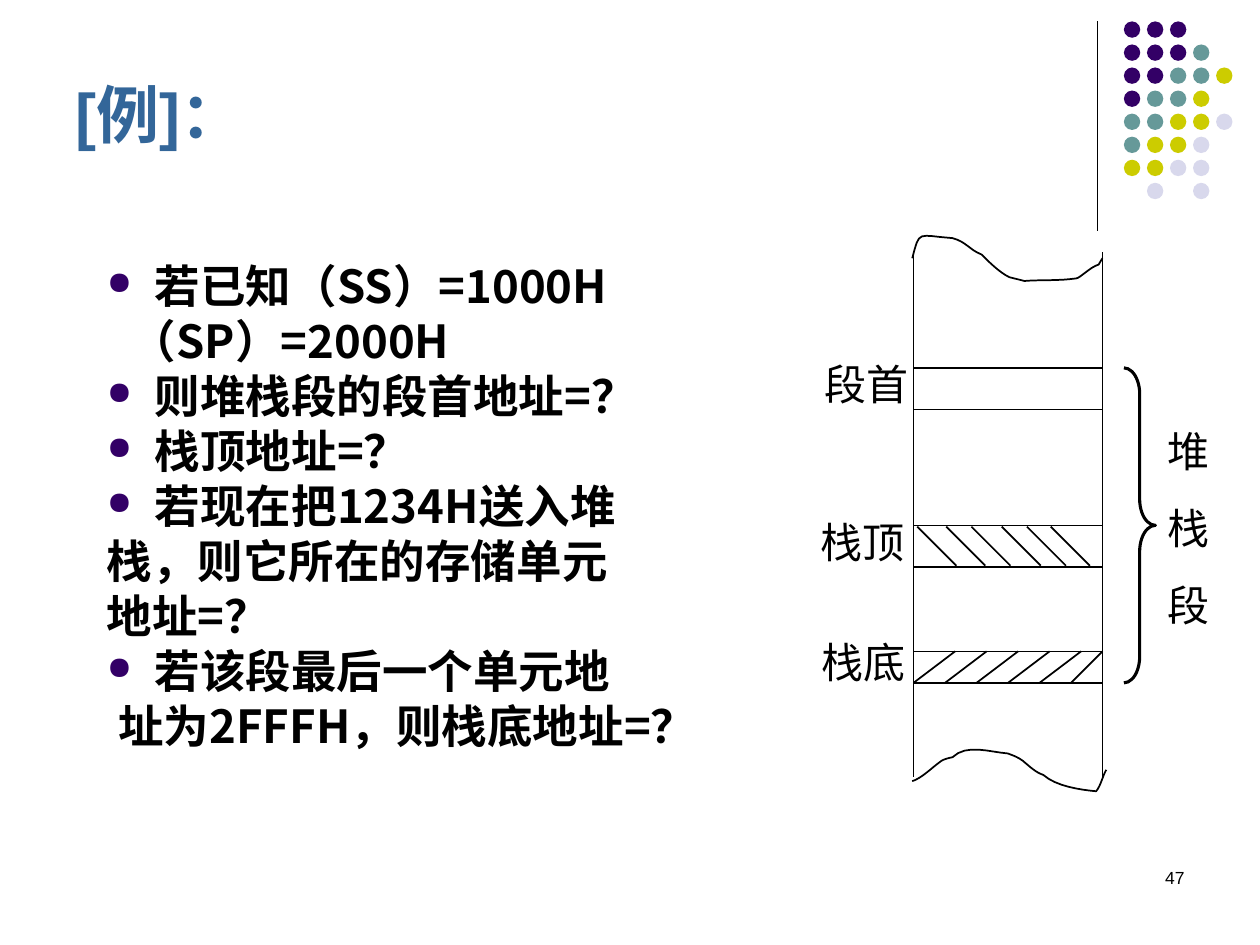
from lxml import etree
from pptx import Presentation
from pptx.dml.color import RGBColor
from pptx.enum import shapes, text
from pptx.oxml import ns
from pptx.util import Inches, Pt

THEME = {
    "ink": "000000", "title": "336699", "bullet": "330066",
    "dots": {"P": "330066", "T": "669999", "Y": "CCCC00", "L": "D8D8EC"},
    "title_size": 36, "body_size": 26, "label_size": 24, "number_size": 10,
    "sans": "Arial", "serif": "Times New Roman", "cjk": "Noto Sans CJK SC",
}

TITLE = "[例]："
BODY = [
    ("若已知（SS）=1000H", None),
    ("（SP）=2000H", 0.19),
    ("则堆栈段的段首地址=？", None),
    ("栈顶地址=？", None),
    ("若现在把1234H送入堆", None),
    ("栈，则它所在的存储单元", 0),
    ("地址=？", 0),
    ("若该段最后一个单元地", None),
    ("址为2FFFH，则栈底地址=？", 0.09),
]
LABELS = [("段首", 6.53, 2.8), ("栈底", 6.51, 5), ("栈顶", 6.5, 4.05)]
BRACE_LABEL = ["堆", "栈", "段"]
PAGE = "47"

DOT_ROWS = ["PPP", "PPPT", "PPTTY", "PTTY", "TTYYL", "TYYL", "YYLL", " L L"]
DOT_LEFT, DOT_TOP, DOT_STEP, DOT_SIZE = 8.92, 0.17, 0.183, 0.13

LEFT, RIGHT = 7.25, 8.75
SEGMENT_TOP, SEGMENT_BOTTOM = 2.92, 5.42
CELL_LINES = [2.92, 3.25, 4.17, 4.5, 5.17, 5.42]
TOP_HATCH = [7.28, 7.51, 7.71, 7.95, 8.15, 8.34]
BOTTOM_HATCH = [7.58, 7.83, 8.08, 8.33, 8.58, 8.75]
TORN_TOP = [
    (7.24, 2.05),
    (7.3, 1.82), (7.28, 1.87), (7.56, 1.89),
    (7.67, 1.92), (7.69, 1.98), (7.79, 2.02),
    (7.85, 2.08), (7.93, 2.16), (8.01, 2.2),
    (8.05, 2.21), (8.09, 2.22), (8.13, 2.23),
    (8.26, 2.22), (8.4, 2.23), (8.54, 2.21),
    (8.57, 2.21), (8.65, 2.12), (8.72, 2.1),
    (8.73, 2.08), (8.75, 2.05), (8.75, 2.05),
]
TORN_BOTTOM = [
    (7.24, 6.2),
    (7.31, 6.18), (7.4, 6.09), (7.47, 6.04),
    (7.5, 6.02), (7.56, 6.01), (7.56, 6.01),
    (7.67, 5.9), (7.86, 5.97), (8, 5.98),
    (8.05, 6), (8.08, 6.01), (8.12, 6.04),
    (8.18, 6.09), (8.22, 6.13), (8.28, 6.15),
    (8.38, 6.24), (8.58, 6.27), (8.7, 6.28),
    (8.74, 6.23), (8.75, 6.16), (8.78, 6.11),
]


def color(name):
    return RGBColor.from_string(name)


def stroke(sp, width):
    sp.line.color.rgb = color(THEME["ink"])
    sp.line.width = Pt(width)


def add_line(s, x1, y1, x2, y2, width=1):
    sp = s.shapes.add_connector(
        shapes.MSO_CONNECTOR.STRAIGHT, *map(Inches, (x1, y1, x2, y2)))
    stroke(sp, width)
    etree.SubElement(sp._element.spPr, ns.qn("a:effectLst"))


def add_outline(s, preset, box, width):
    sp = s.shapes.add_shape(preset, *map(Inches, box))
    sp.shadow.inherit = False
    sp.fill.background()
    stroke(sp, width)
    return sp


def add_curve(s, points, steps=8):
    path = [points[0]]
    for i in range(0, len(points) - 1, 3):
        a, b, c, d = points[i:i + 4]
        for k in range(1, steps + 1):
            t = k / steps
            v = 1 - t
            path.append(tuple(
                v**3 * a[j] + 3 * v * v * t * b[j] + 3 * v * t * t * c[j] + t**3 * d[j]
                for j in (0, 1)))
    path = [(Inches(x), Inches(y)) for x, y in path]
    builder = s.shapes.build_freeform(*path[0])
    builder.add_line_segments(path[1:], close=False)
    sp = builder.convert_to_shape()
    sp.shadow.inherit = False
    sp.fill.background()
    stroke(sp, 1)


def add_text_box(s, box, side=0.1, anchor=text.MSO_ANCHOR.TOP):
    tf = s.shapes.add_textbox(*map(Inches, box)).text_frame
    tf.word_wrap = True
    tf.vertical_anchor = anchor
    tf.margin_left = tf.margin_right = Inches(side)
    return tf


def add_paragraph(tf, i, words, size, font, ink="ink", bold=False, before=0, align=None):
    p = tf.paragraphs[0] if i == 0 else tf.add_paragraph()
    if i:
        p.space_before = Pt(before)
    p.alignment = align
    r = p.add_run()
    r.text = words
    r.font.size = Pt(THEME[size])
    r.font.name = THEME[font]
    r.font.bold = bold
    r.font.color.rgb = color(THEME[ink])
    etree.SubElement(r.font._element, ns.qn("a:ea"), typeface=THEME["cjk"])
    return p


def add_bullet(p):
    pPr = p._p.get_or_add_pPr()
    clr = etree.SubElement(pPr, ns.qn("a:buClr"))
    etree.SubElement(clr, ns.qn("a:srgbClr"), val=THEME["bullet"])
    etree.SubElement(pPr, ns.qn("a:buSzPct"), val="70000")
    etree.SubElement(pPr, ns.qn("a:buChar"), char="●")


def add_dots(s):
    for row, kinds in enumerate(DOT_ROWS):
        for col, kind in enumerate(kinds):
            if kind == " ":
                continue
            box = (DOT_LEFT + col * DOT_STEP, DOT_TOP + row * DOT_STEP, DOT_SIZE, DOT_SIZE)
            sp = s.shapes.add_shape(shapes.MSO_SHAPE.OVAL, *map(Inches, box))
            sp.shadow.inherit = False
            sp.fill.solid()
            sp.fill.fore_color.rgb = color(THEME["dots"][kind])
            sp.line.fill.background()


def add_body(s):
    tf = add_text_box(s, (0.75, 2.08, 8.5, 4.97))
    for i, (words, indent) in enumerate(BODY):
        p = add_paragraph(tf, i, words, "body_size", "cjk", bold=True, before=6.5)
        p.line_spacing = 0.8
        pPr = p._p.get_or_add_pPr()
        if indent is None:
            pPr.set("marL", str(Inches(0.38)))
            pPr.set("indent", str(Inches(-0.38)))
            add_bullet(p)
        else:
            pPr.set("marL", str(Inches(0.38)))
            pPr.set("indent", str(Inches(indent - 0.38)))


def add_stack(s):
    add_outline(s, shapes.MSO_SHAPE.RECTANGLE,
                (LEFT, SEGMENT_TOP, RIGHT - LEFT, SEGMENT_BOTTOM - SEGMENT_TOP), 1)
    for y in CELL_LINES:
        add_line(s, LEFT, y, RIGHT, y)
    for x in (LEFT, RIGHT):
        add_line(s, x, 2, x, 6.17)
    for points in (TORN_TOP, TORN_BOTTOM):
        add_curve(s, points)
    for x in TOP_HATCH:
        add_line(s, x, 4.18, x + 0.31, 4.49)
    for x in BOTTOM_HATCH:
        add_line(s, x, 5.17, max(x - 0.33, LEFT) if x < RIGHT else 8.5, 5.42)
    for words, x, y in LABELS:
        tf = add_text_box(s, (x, y, 0.68, 0.5), side=0)
        add_paragraph(tf, 0, words, "label_size", "serif", align=text.PP_ALIGN.RIGHT)
    brace = add_outline(s, shapes.MSO_SHAPE.RIGHT_BRACE,
                        (8.92, SEGMENT_TOP, 0.25, SEGMENT_BOTTOM - SEGMENT_TOP), 1.75)
    brace.adjustments[0] = 0.83
    tf = add_text_box(s, (9.17, 3.33, 0.67, 1.72))
    for i, words in enumerate(BRACE_LABEL):
        add_paragraph(tf, i, words, "label_size", "serif", before=15)


def main():
    prs = Presentation()
    prs.slide_width, prs.slide_height = Inches(10), Inches(7.5)
    s = prs.slides.add_slide(prs.slide_layouts[6])
    add_line(s, 8.71, 0.17, 8.71, 1.83, 0.75)
    add_dots(s)
    tf = add_text_box(s, (0.5, 0.43, 8.25, 0.82), anchor=text.MSO_ANCHOR.BOTTOM)
    add_paragraph(tf, 0, TITLE, "title_size", "sans", "title", bold=True)
    add_body(s)
    add_stack(s)
    tf = add_text_box(s, (7.17, 6.83, 2.33, 0.5))
    add_paragraph(tf, 0, PAGE, "number_size", "sans", align=text.PP_ALIGN.RIGHT)
    prs.save("out.pptx")


if __name__ == "__main__":
    main()
